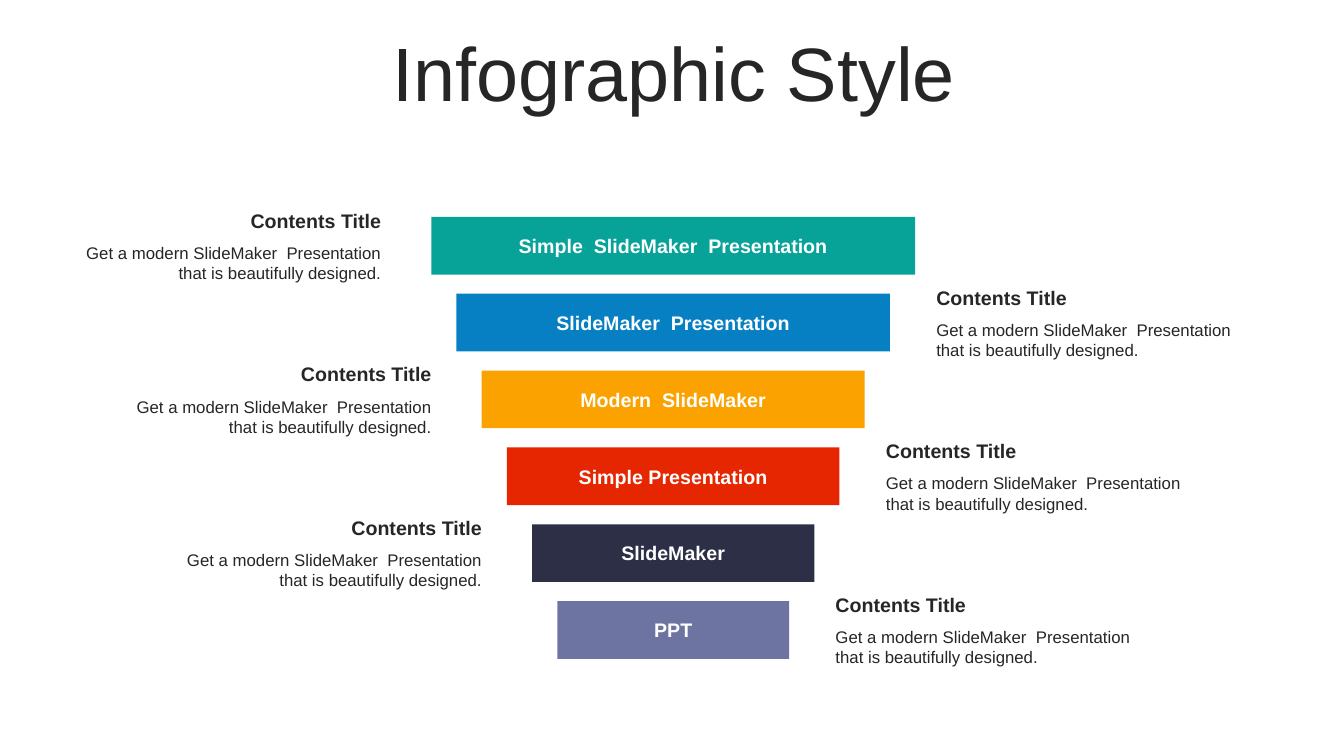
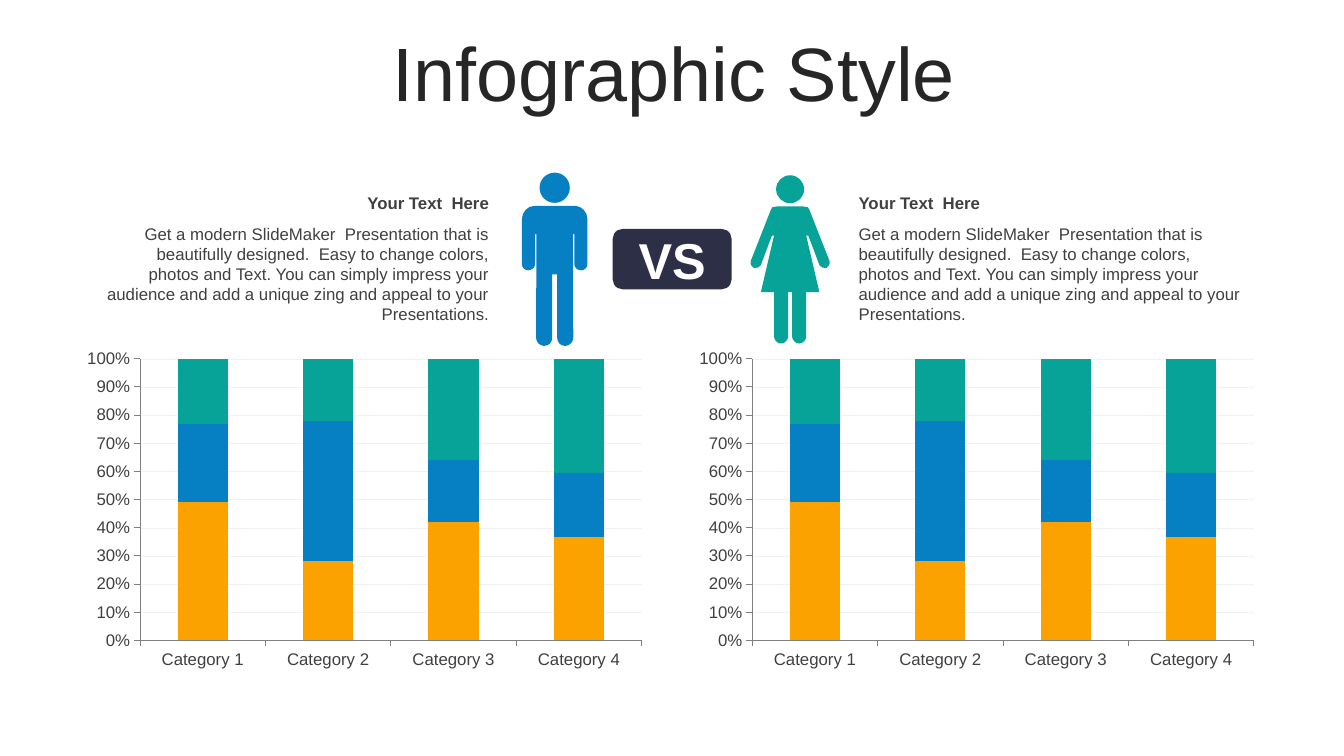
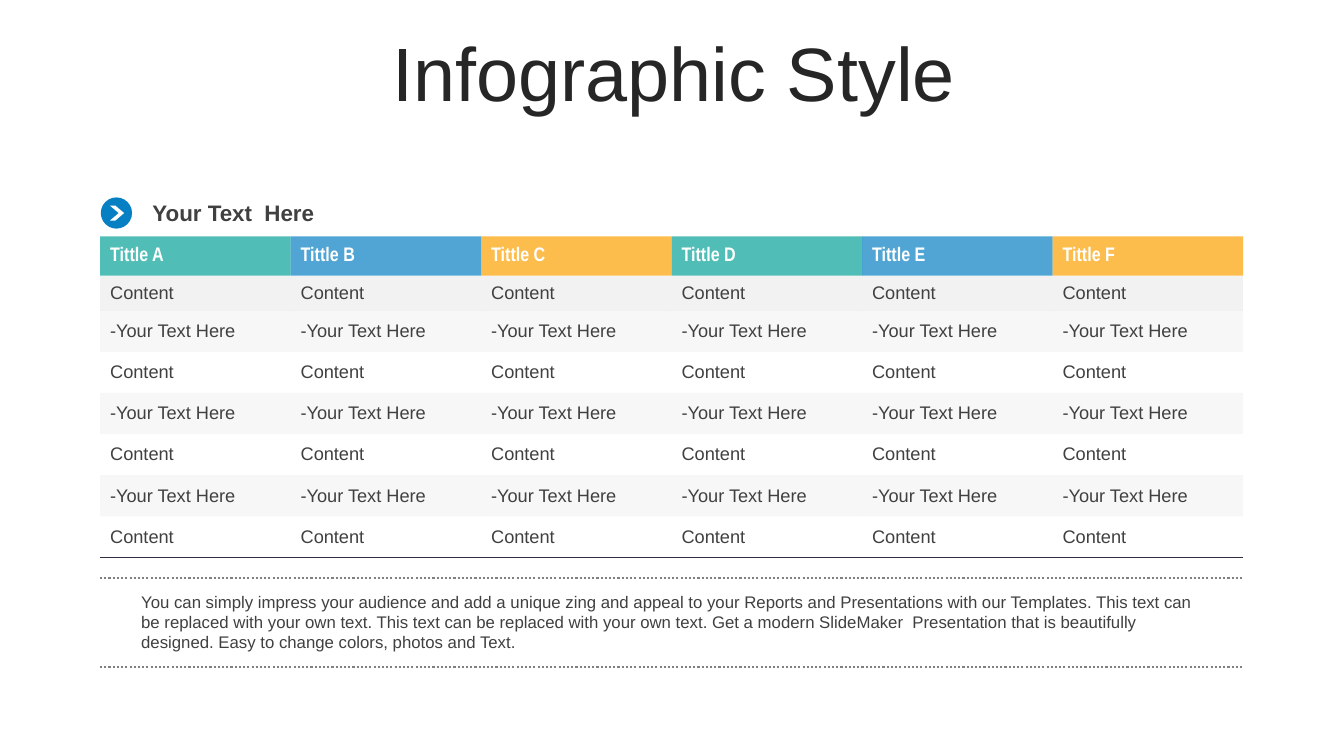
import pptx
import pptx.chart.data
import pptx.dml.color
import pptx.enum.chart
import pptx.enum.dml
import pptx.enum.shapes
import pptx.enum.text
import pptx.oxml
import pptx.oxml.ns
import pptx.util

# Shared look
TEAL, BLUE, AMBER, RED = "07A398", "0680C3", "FBA200", "E62601"
NAVY, MAUVE, WHITE = "2C2F45", "6E74A2", "FFFFFF"
INK, GREY, RULE, PALE = "262626", "404040", "808080", "F2F2F2"
FONT = "Arial"
MID = 480.9

# Content
TITLE = "Infographic Style"
BARS = [
    ("Simple  SlideMaker  Presentation", TEAL),
    ("SlideMaker  Presentation", BLUE),
    ("Modern  SlideMaker", AMBER),
    ("Simple Presentation", RED),
    ("SlideMaker", NAVY),
    ("PPT", MAUVE),
]
NOTE = ("Contents Title",
        "Get a modern SlideMaker  Presentation that is beautifully designed.")
HEAD = "Your Text  Here"
PITCH = ("Get a modern SlideMaker  Presentation that is beautifully designed.  "
         "Easy to change colors, photos and Text. You can simply impress your "
         "audience and add a unique zing and appeal to your Presentations.")
CATS = ["Category 1", "Category 2", "Category 3", "Category 4"]
SERIES = [
    ("Series 1", [49, 28, 42, 37], AMBER),
    ("Series 2", [28, 49, 22, 23], BLUE),
    ("Series 3", [23, 22, 36, 41], TEAL),
]
HEADERS = ["Tittle A", "Tittle B", "Tittle C", "Tittle D", "Tittle E", "Tittle F"]
ROWS = ["Content", "-Your Text Here"] * 3 + ["Content"]
CLOSE = ("You can simply impress your audience and add a unique zing and appeal "
         "to your Reports and Presentations with our Templates. This text can be "
         "replaced with your own text. This text can be replaced with your own "
         "text. Get a modern SlideMaker  Presentation that is beautifully "
         "designed. Easy to change colors, photos and Text.")

# Right half of each figure from the neck down, as (offset from axis, depth):
# two numbers make a line, six make a curve
MAN = [
    (14.8, 23.8), (19.1, 23.8, 23.4, 28.1, 23.4, 33.1), (23.4, 65.5),
    (23.4, 67.7, 21.2, 69.8, 19.1, 69.8), (16.2, 69.8, 14, 67.7, 14, 65.5),
    (14, 43.9), (13, 43.9), (13.3, 118.1),
    (13.3, 121, 10.4, 123.8, 7.6, 123.8), (4, 123.8, 1.8, 121, 1.8, 118.1),
    (1.8, 72.7),
]
WOMAN = [
    (9.4, 22.3), (13, 23, 13, 22.3, 13.7, 24.5), (28.1, 61.2),
    (28.8, 63.4, 27.4, 65.5, 25.9, 66.2), (23.8, 67, 21.6, 65.5, 20.9, 64.1),
    (13, 43.2), (11.5, 43.2), (20.9, 83.5), (11.5, 83.5), (11.5, 115.2),
    (11.5, 117.4, 9.4, 120.2, 6.5, 120.2), (3.6, 120.2, 1.4, 117.4, 1.4, 115.2),
    (1.4, 83.5),
]

ALIGN = {"l": pptx.enum.text.PP_ALIGN.LEFT, "c": pptx.enum.text.PP_ALIGN.CENTER,
         "r": pptx.enum.text.PP_ALIGN.RIGHT}
SHAPE = pptx.enum.shapes.MSO_SHAPE
ANCHOR = pptx.enum.text.MSO_ANCHOR


def pts(*vals):
    return [pptx.util.Pt(v) for v in vals]


def hue(code):
    return pptx.dml.color.RGBColor.from_string(code)


def node(tag, rest):
    return pptx.oxml.parse_xml(f'<a:{tag} {pptx.oxml.ns.nsdecls("a")}{rest}')


def style(font, size, color, bold=False, face=FONT):
    font.size, font.name, font.bold = pptx.util.Pt(size), face, bold
    font.color.rgb = hue(color)


def write(frame, text, size=12, color=GREY, bold=False, face=FONT, align="l",
          space=None):
    frame.word_wrap = True
    para = frame.paragraphs[0]
    para.text, para.alignment = text, ALIGN[align]
    if space:
        para.line_spacing = space
    style(para.runs[0].font, size, color, bold, face)


def label(slide, box, text, middle=False, **form):
    frame = slide.shapes.add_textbox(*pts(*box)).text_frame
    if middle:
        frame.vertical_anchor = ANCHOR.MIDDLE
    write(frame, text, **form)


def paint(shape, color):
    shape.shadow.inherit = False
    shape.fill.solid()
    shape.fill.fore_color.rgb = hue(color)
    shape.line.fill.background()


def block(slide, kind, box, color, text=None, **form):
    shape = slide.shapes.add_shape(kind, *pts(*box))
    paint(shape, color)
    if text:
        frame = shape.text_frame
        frame.margin_top = frame.margin_bottom = 0
        frame.vertical_anchor = ANCHOR.MIDDLE
        write(frame, text, color=WHITE, bold=True, align="c", **form)
    return shape


def note(slide, left, top, width, head, body, lines, size, color, align):
    step = size * 1.2 + 7.4
    label(slide, (left, top, width, step), head, size=size, color=color,
          bold=True, align=align)
    label(slide, (left, top + step, width, lines * 14.4 + 7.2), body,
          color=color, align=align)


def pairs(step):
    return list(zip(step[::2], step[1::2]))


def mirror(half):
    # Each step is a list of points; the left side runs back up
    steps = [pairs(step) for step in half]
    ends = [step[-1] for step in steps]
    back = [[ends[-1]]] if ends[-1][0] else []
    for prev, step in reversed(list(zip(ends, steps[1:]))):
        back.append(step[-2::-1] + [prev] if len(step) > 1 else [prev])
    return steps + [[(-x, y) for x, y in step] for step in back]


def person(slide, axis, top, half, radius, color):
    near, far, deep = 0.45 * radius, 1.55 * radius, 2 * radius
    bend = 0.55 * radius
    face = [(0, 0), (bend, 0, radius, near, radius, radius),
            (radius, far, bend, deep, 0, deep)]
    pen, steps = None, []
    for loop in (mirror(half), mirror(face)):
        loop = [[pts(axis + x, top + y) for x, y in step] for step in loop]
        first, *rest = [step[-1] for step in loop]
        if pen is None:
            pen = slide.shapes.build_freeform(*first, scale=1.0)
        else:
            pen.move_to(*first)
        pen.add_line_segments(rest, close=True)
        steps += loop
    shape = pen.convert_to_shape()
    paint(shape, color)
    # Round the steps that carry control points
    trail = next(shape.element.iter(pptx.oxml.ns.qn("a:path")))
    for part, step in zip([p for p in trail if len(p)], steps):
        if len(step) == 3:
            dots = "".join(f'<a:pt x="{x - shape.left}" y="{y - shape.top}"/>'
                           for x, y in step)
            trail.replace(part, node("cubicBezTo", f">{dots}</a:cubicBezTo>"))


def chart(slide, box):
    data = pptx.chart.data.CategoryChartData()
    data.categories = CATS
    for name, vals, _ in SERIES:
        data.add_series(name, vals)
    kind = pptx.enum.chart.XL_CHART_TYPE.COLUMN_STACKED_100
    graph = slide.shapes.add_chart(kind, *pts(*box), data).chart
    graph.has_legend = graph.has_title = False
    style(graph.font, 12, GREY)
    plot = graph.plots[0]
    plot.gap_width, plot.overlap, plot.vary_by_categories = 150, 100, False
    for part, (_, _, color) in zip(plot.series, SERIES):
        part.format.fill.solid()
        part.format.fill.fore_color.rgb = hue(color)
    for axis in (graph.category_axis, graph.value_axis):
        style(axis.tick_labels.font, 12, GREY)
        axis.major_tick_mark = pptx.enum.chart.XL_TICK_MARK.OUTSIDE
        axis.format.line.color.rgb = hue(RULE)
        axis.format.line.width = pptx.util.Pt(0.75)
    axis.tick_labels.number_format = "0%"
    axis.tick_labels.number_format_is_linked = False
    axis.has_major_gridlines = True
    line = axis.major_gridlines.format.line
    line.color.rgb, line.width = hue(PALE), pptx.util.Pt(0.25)


def tint(cell, color, alpha=100):
    cell.fill.solid()
    cell.fill.fore_color.rgb = hue(color)
    if alpha < 100:
        shade = next(cell._tc.tcPr.iter(pptx.oxml.ns.qn("a:srgbClr")))
        shade.append(node("alpha", f' val="{alpha * 1000}"/>'))


def edge(cell, color):
    cell._tc.get_or_add_tcPr().insert(0, node(
        "lnB", f' w="12700"><a:solidFill><a:srgbClr val="{color}"/>'
        "</a:solidFill></a:lnB>"))


def grid(slide, left, top, width):
    high = [28.1, 25] + [29.4] * 6
    frame = slide.shapes.add_table(len(high), len(HEADERS),
                                   *pts(left, top, width, sum(high)))
    # Plain style without lines
    for tag in frame.element.iter(pptx.oxml.ns.qn("a:tableStyleId")):
        tag.text = "{2D5ABB26-0587-4C30-8999-92F81FD0307C}"
    table = frame.table
    table.first_row = table.horz_banding = False
    for row, size in zip(table.rows, high):
        row.height = pptx.util.Pt(size)
    for col, head in enumerate(HEADERS):
        table.columns[col].width = pptx.util.Pt(width / len(HEADERS))
        for row, text in enumerate([head] + ROWS):
            cell = table.cell(row, col)
            cell.vertical_anchor = ANCHOR.MIDDLE
            if row == 0:
                write(cell.text_frame, text, size=14, color=WHITE, bold=True,
                      face="Arial Narrow")
                tint(cell, (TEAL, BLUE, AMBER)[col % 3], 70)
                continue
            write(cell.text_frame, text, size=13)
            if row == 1:
                tint(cell, PALE)
            elif row % 2 == 0:
                tint(cell, "D9D9D9", 20)
            else:
                cell.fill.background()
            if row == len(ROWS):
                edge(cell, NAVY)


def rule(slide, left, top, width):
    kind = pptx.enum.shapes.MSO_CONNECTOR.STRAIGHT
    line = slide.shapes.add_connector(kind, *pts(left, top, left + width, top))
    line.line.color.rgb, line.line.width = hue(RULE), pptx.util.Pt(1.5)
    line.line.dash_style = pptx.enum.dml.MSO_LINE.ROUND_DOT
    line.element.spPr.append(node("effectLst", "/>"))


def page(deck):
    slide = deck.slides.add_slide(deck.slide_layouts[6])
    label(slide, (25.5, 26.6, 911.5, 56.9), TITLE, middle=True, size=54,
          color=INK, align="c", space=0.9)
    return slide


def funnel(deck):
    slide = page(deck)
    wide = 229.7
    for i, (text, color) in enumerate(BARS):
        width, top = 345.6 - 36 * i, 154.9 + 54.9 * i
        left = MID - width / 2
        block(slide, SHAPE.RECTANGLE, (left, top, width, 41.2), color, text, size=14)
        if i % 2:
            side, align = left + width + 26, "l"
        else:
            side, align = left - 28.7 - wide, "r"
        note(slide, side, top - 9.4, wide, *NOTE, lines=2, size=14, color=INK,
             align=align)


def versus(deck):
    slide = page(deck)
    for left in (54, 491.3):
        chart(slide, (left, 245.2, 412.6, 236.9))
    person(slide, 396.2, 123.3, MAN, 10.8, BLUE)
    person(slide, 564.4, 125.2, WOMAN, 10, TEAL)
    for left, width, align in ((69.1, 287.3, "r"), (606.2, 289.4, "l")):
        note(slide, left, 134.3, width, HEAD, PITCH, lines=5, size=12,
             color=GREY, align=align)
    block(slide, SHAPE.ROUNDED_RECTANGLE, (437.6, 163.5, 85, 43.2), NAVY, "VS",
          size=36)


def listing(deck):
    slide = page(deck)
    left, width = 71.5, 816.5
    grid(slide, left, 168.8, width)
    label(slide, (93.7, 419, 774, 51), CLOSE)
    for top in (412.6, 476.6):
        rule(slide, left, top, width)
    # Heading with arrow badge
    label(slide, (101.8, 139, 217.4, 26.6), HEAD, size=16, bold=True)
    block(slide, SHAPE.OVAL, (72, 141, 22.3, 22.3), BLUE)
    arrow = block(slide, SHAPE.CHEVRON, (78.5, 146.8, 10.2, 10.8), WHITE)
    arrow.adjustments[0] = 0.62


def main():
    deck = pptx.Presentation()
    deck.slide_width, deck.slide_height = pts(960, 540)
    for build in (funnel, versus, listing):
        build(deck)
    deck.save("out.pptx")


if __name__ == "__main__":
    main()
